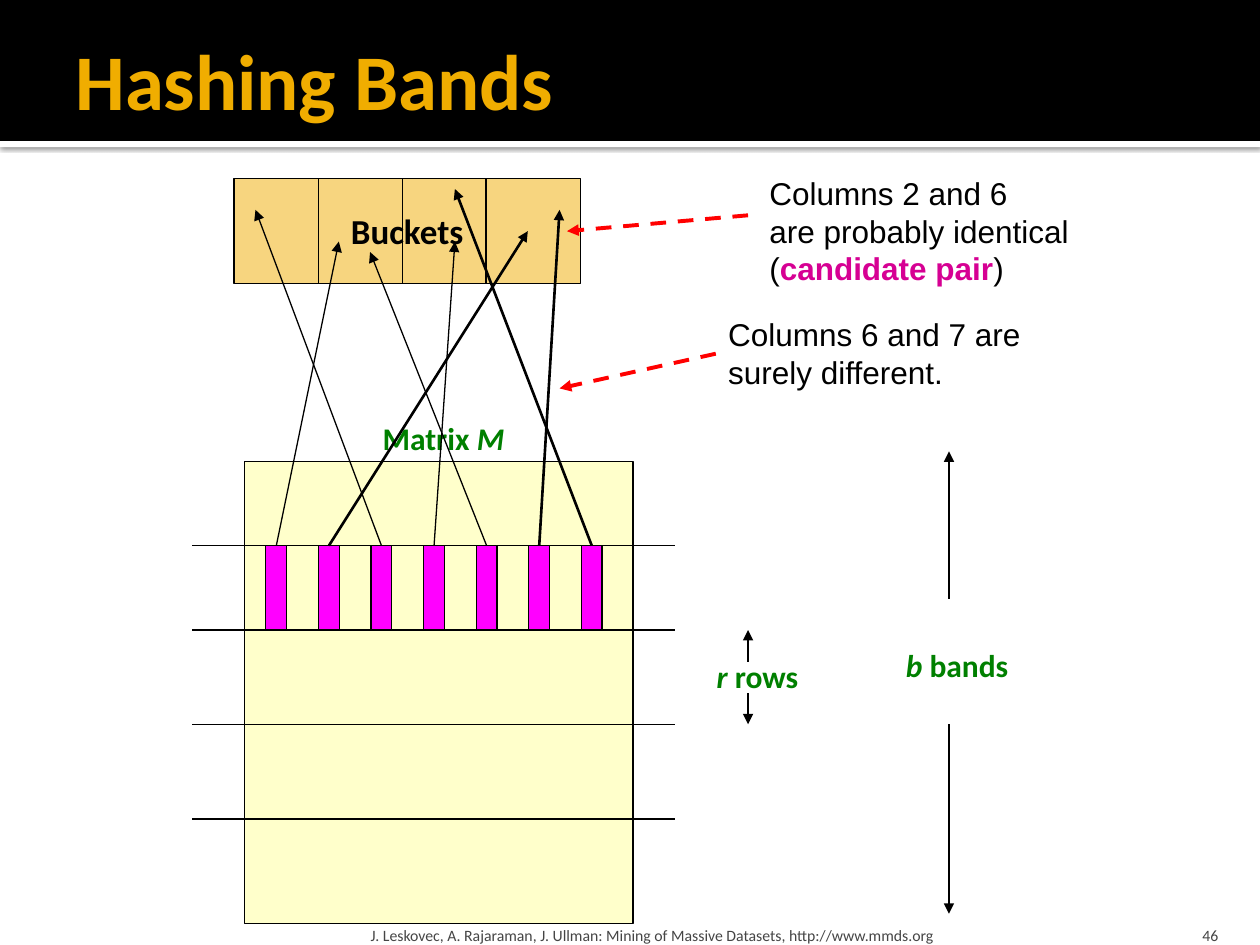
from lxml.etree import SubElement
from pptx import Presentation
from pptx.dml.color import RGBColor
from pptx.enum.dml import MSO_LINE
from pptx.enum.shapes import MSO_CONNECTOR, MSO_SHAPE
from pptx.enum.text import MSO_ANCHOR, PP_ALIGN
from pptx.oxml.ns import qn
from pptx.util import Cm, Pt

HUES = {
    "black": "000000", "white": "FFFFFF", "gold": "F0AD00", "cream": "FFFF99",
    "pink": "FF00FF", "green": "008000", "red": "FF0000", "plum": "D60093",
    "gray": "454545",
}
LEFT, MID, RIGHT = PP_ALIGN.LEFT, PP_ALIGN.CENTER, PP_ALIGN.RIGHT


def hue(name):
    return RGBColor.from_string(HUES[name])


class Deck:
    """Holds the style and the current slide."""

    def __init__(self):
        self.prs = Presentation()
        self.prs.slide_width, self.prs.slide_height = Cm(25.4), Cm(19.05)
        self.slide = self.prs.slides.add_slide(self.prs.slide_layouts[5])
        self.shapes = self.slide.shapes

    def rect(self, x, y, w, h, fill, edge="black", alpha=None):
        box = self.shapes.add_shape(MSO_SHAPE.RECTANGLE, Cm(x), Cm(y), Cm(w), Cm(h))
        box.shadow.inherit = False
        box.fill.solid()
        box.fill.fore_color.rgb = hue(fill)
        if alpha:
            tint = box._element.spPr.find(qn("a:solidFill"))[0]
            SubElement(tint, qn("a:alpha"), val=str(alpha * 1000))
        if edge:
            box.line.color.rgb = hue(edge)
            box.line.width = Pt(0.75)
        else:
            box.line.fill.background()
        return box

    def shade(self, box):
        glow = SubElement(box._element.spPr.find(qn("a:effectLst")), qn("a:outerShdw"),
                          blurRad=str(int(Pt(2.5))), dist=str(int(Pt(0.8))),
                          dir="5400000")
        tint = SubElement(glow, qn("a:srgbClr"), val=HUES["black"])
        SubElement(tint, qn("a:alpha"), val="60000")

    def line(self, start, end, width=0.75, color="black", tip=False, dash=False):
        link = self.shapes.add_connector(
            MSO_CONNECTOR.STRAIGHT, *[Cm(v) for v in (*start, *end)])
        link.line.color.rgb = hue(color)
        link.line.width = Pt(width)
        if dash:
            link.line.dash_style = MSO_LINE.DASH
        if tip:
            SubElement(link._element.spPr.find(qn("a:ln")), qn("a:tailEnd"),
                       type="triangle")
        SubElement(link._element.spPr, qn("a:effectLst"))
        return link

    def label(self, box, rows, size, color, face="Calibri", bold=False, align=LEFT,
              anchor=MSO_ANCHOR.TOP, wrap=True, pads=None):
        """Each row is a list of (text, changes to the font) pairs."""
        frame = box.text_frame
        frame.word_wrap = wrap
        frame.vertical_anchor = anchor
        if pads:
            (frame.margin_left, frame.margin_top,
             frame.margin_right, frame.margin_bottom) = [Cm(p) for p in pads]
        for i, row in enumerate(rows):
            para = frame.add_paragraph() if i else frame.paragraphs[0]
            para.alignment = align
            font = para.font
            font.name, font.size, font.bold = face, Pt(size), bold
            font.color.rgb = hue(color)
            for text, style in row:
                run = para.add_run()
                run.text = text
                if "color" in style:
                    run.font.color.rgb = hue(style["color"])
                run.font.bold = style.get("bold")
                run.font.italic = style.get("italic")

    def text(self, x, y, w, h, rows, size, color, **style):
        box = self.shapes.add_textbox(Cm(x), Cm(y), Cm(w), Cm(h))
        self.label(box, rows, size, color, **style)
        return box

    def mark(self, x, y, w, row):
        self.text(x, y, w, 1.02, [row], 18, "green", bold=True, align=MID, wrap=False)

    def title(self, x, y, w, h, words):
        head = self.shapes.title
        head.left, head.top, head.width, head.height = Cm(x), Cm(y), Cm(w), Cm(h)
        self.label(head, [[(words, {})]], 45, "gold", bold=True,
                   anchor=MSO_ANCHOR.MIDDLE, pads=(0.25, 0.13, 0.13, 0.13))
        self.shapes._spTree.append(head._element)  # in front of the bar


def main():
    deck = Deck()
    slant = {"italic": True}

    # Header bar and title
    deck.shade(deck.rect(0, 2.84, 25.4, 0.13, "white", edge=None))
    deck.rect(0, 0, 25.4, 2.84, "black", edge=None)
    deck.title(1.27, 0.43, 22.86, 2.34, "Hashing Bands")

    # Matrix and its band lines
    deck.rect(4.93, 9.31, 7.83, 9.31, "cream", alpha=50)
    deck.mark(7.44, 8.33, 3, [("Matrix ", {}), ("M", slant)])
    for y in (11, 12.7, 14.6, 16.51):
        deck.line((3.88, y), (13.61, y))

    # Measures: rows per band, number of bands
    for x, start, end in ((15.08, 13.34, 12.7), (15.08, 13.97, 14.6),
                          (19.13, 12.07, 9.1), (19.13, 14.6, 18.42)):
        deck.line((x, start), (x, end), tip=True)
    deck.mark(14.1, 13.13, 2.34, [("r ", slant), ("rows", {})])
    deck.mark(17.91, 12.9, 2.77, [("b ", slant), ("bands", {})])

    # Column pieces in one band
    cols = [deck.rect(5.36 + 1.06 * i, 11, 0.42, 1.7, "pink") for i in range(7)]

    # Buckets
    box = deck.rect(4.72, 3.6, 6.98, 2.11, "gold", alpha=50)
    deck.label(box, [[("Buckets", {})]], 20, "black", bold=True, align=MID,
               anchor=MSO_ANCHOR.MIDDLE, wrap=False)
    for i in range(3):
        x = 6.42 + 1.69 * i
        deck.line((x, 3.6), (x, 5.71))

    # Hash arrows, heavy for columns 2, 6 and 7
    ends = [(6.83, 4.87), (10.64, 4.66), (5.15, 4.23), (9.17, 4.87),
            (7.46, 5.08), (11.28, 4.23), (9.17, 3.81)]
    for i, (col, end) in enumerate(zip(cols, ends), 1):
        width = 1.5 if i in (2, 6, 7) else 0.75
        deck.line(end, end, width, tip=True).begin_connect(col, 0)

    # Remarks with dashed pointers
    deck.text(15.26, 3.38, 6.75, 2.54, [
        [("Columns 2 and 6", {})],
        [("are probably identical", {})],
        [("(", {}), ("candidate pair", {"color": "plum", "bold": True}), (")", {})],
    ], 18, "black", face="Arial")
    deck.line((15.08, 4.34), (11.43, 4.66), 2.25, "red", tip=True, dash=True)
    note = deck.text(14.43, 6.23, 6.45, 1.8, [
        [("Columns 6 and 7 are", {})], [("surely different.", {})],
    ], 18, "black", face="Arial")
    link = deck.line((14.45, 7.2), (11.28, 7.83), 2.25, "red", tip=True, dash=True)
    link.begin_connect(note, 1)

    # Footer
    credit = ("J. Leskovec, A. Rajaraman, J. Ullman: Mining of Massive Datasets, "
              "http://www.mmds.org")
    for x, w, words, align, pad in ((7.34, 15.29, credit, LEFT, 0.13),
                                    (22.78, 2.03, "46", RIGHT, 0.25)):
        deck.text(x, 18.29, w, 0.76, [[(words, {})]], 9, "gray", align=align,
                  anchor=MSO_ANCHOR.BOTTOM, pads=(pad, 0.13, pad, 0))

    deck.prs.save("out.pptx")


if __name__ == "__main__":
    main()
